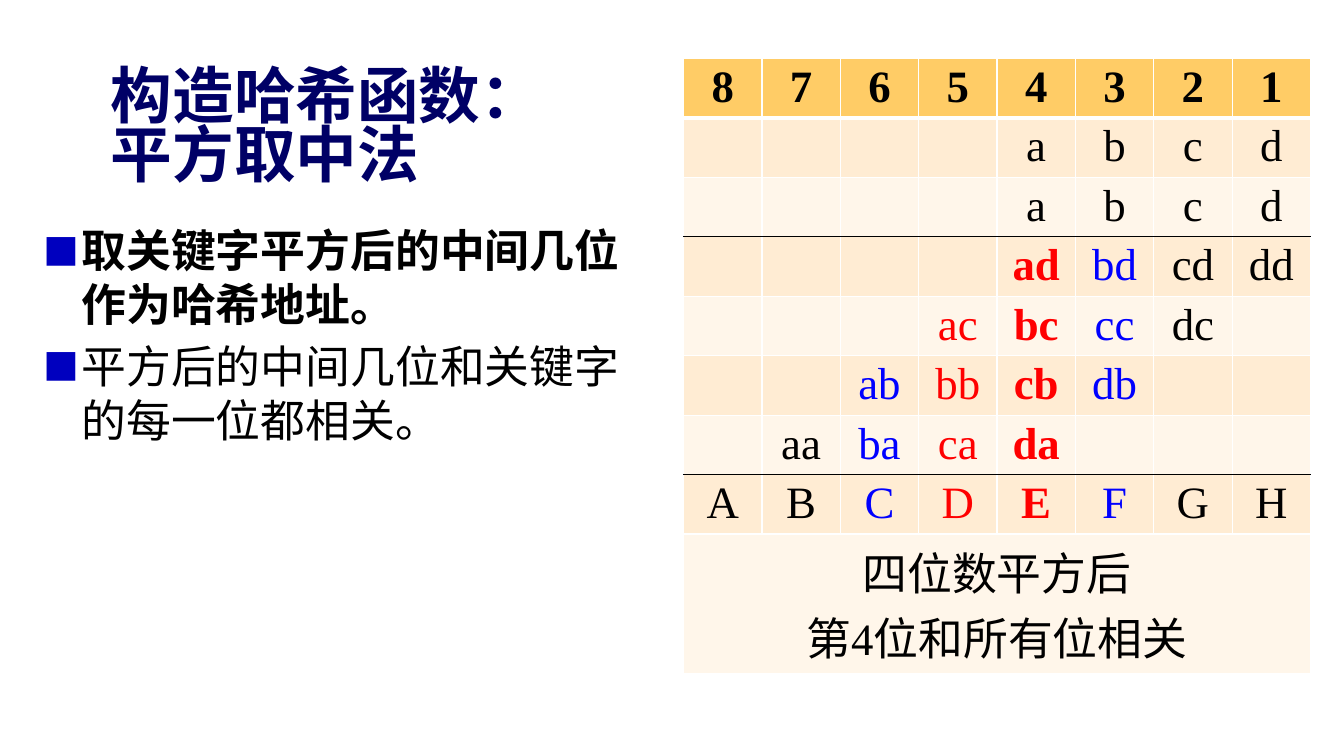
from lxml import etree
from pptx import Presentation
from pptx.dml.color import RGBColor
from pptx.enum.text import MSO_ANCHOR, MSO_AUTO_SIZE, PP_ALIGN
from pptx.oxml.ns import qn
from pptx.util import Inches, Pt

MIDDLE = MSO_ANCHOR.MIDDLE
NO_FIT = MSO_AUTO_SIZE.NONE
LEFT, CENTER = PP_ALIGN.LEFT, PP_ALIGN.CENTER

NAVY = RGBColor(0x00, 0x00, 0x66)
BULLET_BLUE = RGBColor(0x00, 0x00, 0xBF)
BLACK = RGBColor(0x00, 0x00, 0x00)
WHITE = RGBColor(0xFF, 0xFF, 0xFF)
RED = RGBColor(0xFF, 0x00, 0x00)
BLUE = RGBColor(0x00, 0x00, 0xFF)
HEADER_FILL = RGBColor(0xFF, 0xCC, 0x66)
ODD_FILL = RGBColor(0xFF, 0xEC, 0xD3)
EVEN_FILL = RGBColor(0xFF, 0xF6, 0xEA)

SANS, SERIF = "Noto Sans CJK SC", "Times New Roman"

BULLETS = [
    ("取关键字平方后的中间几位作为哈希地址。", True),
    ("平方后的中间几位和关键字的每一位都相关。", False),
]
# Long multiplication of abcd by itself, one string per row
DIGIT_ROWS = [row.split(",") for row in (
    "8,7,6,5,4,3,2,1",
    ",,,,a,b,c,d",
    ",,,,a,b,c,d",
    ",,,,ad,bd,cd,dd",
    ",,,ac,bc,cc,dc,",
    ",,ab,bb,cb,db,,",
    ",aa,ba,ca,da,,,",
    "A,B,C,D,E,F,G,H",
)]
SUMMARY = "四位数平方后\n第4位和所有位相关"
COLUMN_COLORS = {2: BLUE, 3: RED, 4: RED, 5: BLUE}
FIRST_PRODUCT_ROW, MIDDLE_COLUMN = 3, 4
# Line under a row: (colour, points); all others are thin white
RULES = {0: (WHITE, 3), 2: (BLACK, 1), 6: (BLACK, 1)}
THIN = (WHITE, 1)


def format_run(r, name, size, color, bold=False):
    for key, value in {"name": name, "size": Pt(size), "bold": bold}.items():
        setattr(r.font, key, value)
    r.font.color.rgb = color
    ea = etree.SubElement(r.font._element, qn("a:ea"))
    ea.set("typeface", SANS)


def set_frame(tf, **values):
    for key, value in values.items():
        setattr(tf, key, value)


def add_title(s, text):
    sp = s.shapes.title
    sp.left, sp.top = Inches(1), Inches(0.92)
    sp.width, sp.height = Inches(6.08), Inches(0.75)
    tf = sp.text_frame
    tf.text = text
    set_frame(tf, word_wrap=True, auto_size=NO_FIT, vertical_anchor=MIDDLE)
    p = tf.paragraphs[0]
    p.alignment, p.line_spacing = LEFT, 0.8
    for r in p.runs:
        format_run(r, SANS, 44, NAVY, True)


def add_square_bullet(p):
    pPr = p._p.get_or_add_pPr()
    pPr.set("marL", str(Inches(0.38)))
    pPr.set("indent", str(-Inches(0.38)))
    color = etree.SubElement(pPr, qn("a:buClr"))
    etree.SubElement(color, qn("a:srgbClr")).set("val", str(BULLET_BLUE))
    for tag, key, value in (("buSzPct", "val", "80000"),
                            ("buFont", "typeface", SANS),
                            ("buChar", "char", "■")):
        etree.SubElement(pPr, qn(f"a:{tag}")).set(key, value)


def add_bullets(s, items):
    sp = s.shapes.add_textbox(Inches(0.33), Inches(2.16), Inches(6.22), Inches(5.17))
    tf = sp.text_frame
    set_frame(tf, word_wrap=True, auto_size=NO_FIT)
    for i, (text, bold) in enumerate(items):
        p = tf.add_paragraph() if i else tf.paragraphs[0]
        add_square_bullet(p)
        p.line_spacing = 1.0
        if i:
            p.space_before = Pt(6)
        r = p.add_run()
        r.text = text
        format_run(r, SANS, 32, BLACK, bold)


def set_borders(cell, above, below):
    tcPr = cell._tc.get_or_add_tcPr()
    sides = {"lnL": THIN, "lnR": THIN, "lnT": above, "lnB": below}
    for tag, (color, points) in sides.items():
        ln = etree.SubElement(tcPr, qn(f"a:{tag}"))
        ln.set("w", str(Pt(points)))
        fill = etree.SubElement(ln, qn("a:solidFill"))
        etree.SubElement(fill, qn("a:srgbClr")).set("val", str(color))


def style_cell(cell, row):
    set_borders(cell, RULES.get(row - 1, THIN), RULES.get(row, THIN))
    cell.fill.solid()
    banding = ODD_FILL if row % 2 else EVEN_FILL
    cell.fill.fore_color.rgb = banding if row else HEADER_FILL
    cell.margin_top = cell.margin_bottom = Inches(0.04)


def write_cell(cell, text, color=BLACK, bold=False):
    cell.text_frame.text = text
    for p in cell.text_frame.paragraphs:
        p.alignment = CENTER
        for r in p.runs:
            format_run(r, SERIF, 32, color, bold)


def add_digit_table(s):
    last, n_cols = len(DIGIT_ROWS), len(DIGIT_ROWS[0])
    table = s.shapes.add_table(last + 1, n_cols, Inches(6.78), Inches(0.58),
                               Inches(6.22), Inches(6.13)).table
    for i, row in enumerate(table.rows):
        row.height = Inches(1.38 if i == last else 0.59)
        for j, cell in enumerate(row.cells):
            style_cell(cell, i)
            if i == last or not DIGIT_ROWS[i][j]:
                continue
            product = i >= FIRST_PRODUCT_ROW
            color = COLUMN_COLORS.get(j, BLACK) if product else BLACK
            bold = i == 0 or (product and j == MIDDLE_COLUMN)
            write_cell(cell, DIGIT_ROWS[i][j], color, bold)

    # Summary across the full width
    summary = table.cell(last, 0)
    summary.merge(table.cell(last, n_cols - 1))
    write_cell(summary, SUMMARY)


def main():
    prs = Presentation()
    prs.slide_width, prs.slide_height = Inches(13.33), Inches(7.5)
    s = prs.slides.add_slide(prs.slide_layouts[5])
    add_title(s, "构造哈希函数：\v平方取中法")
    add_bullets(s, BULLETS)
    add_digit_table(s)
    prs.save("out.pptx")


if __name__ == "__main__":
    main()
